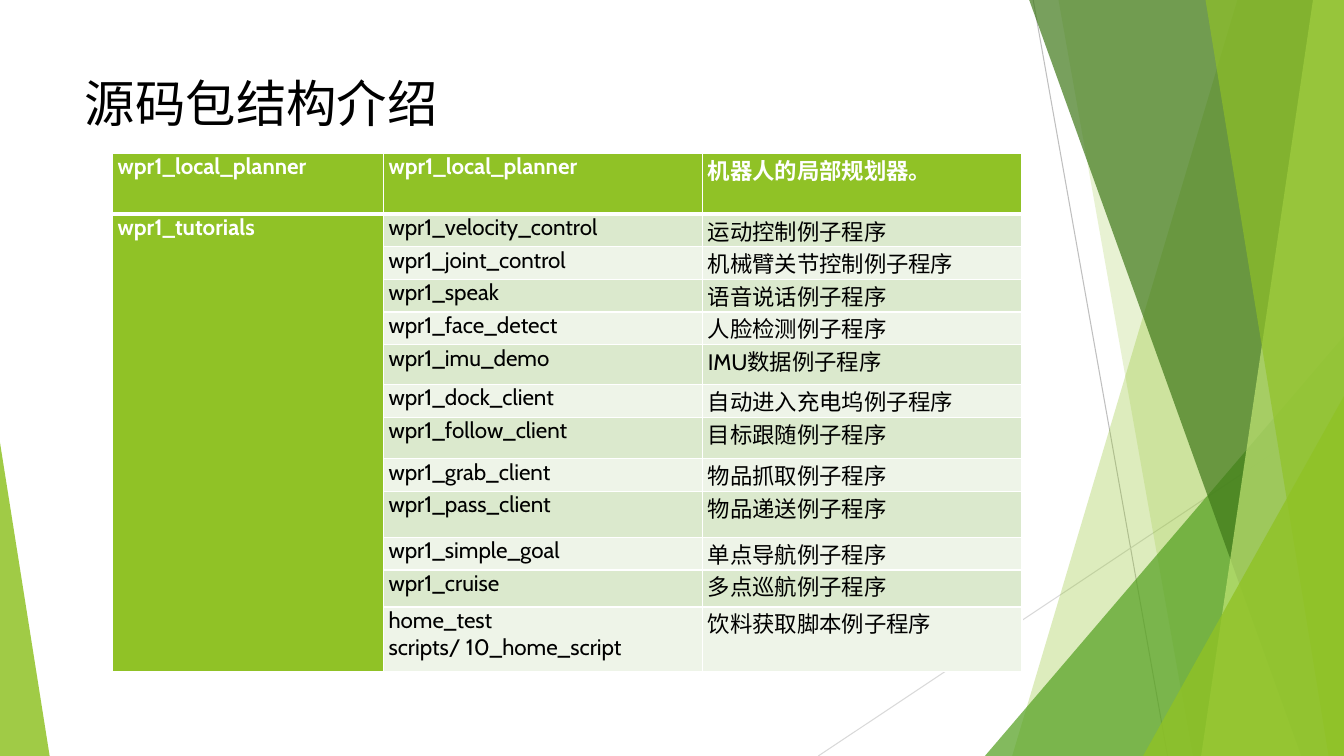
"""Build the slide that introduces the structure of the source packages."""
from lxml.etree import SubElement
from pptx import Presentation
from pptx.dml.color import RGBColor
from pptx.enum.shapes import MSO_CONNECTOR, MSO_SHAPE
from pptx.enum.text import MSO_ANCHOR
from pptx.oxml import parse_xml
from pptx.oxml.ns import nsdecls, qn
from pptx.util import Pt

THEME = {
    "font": "Cabin", "title": 36, "body": 16,
    "black": "000000", "white": "FFFFFF",
    "lime": "90C226", "green": "54A021", "dark": "3F7819", "pale": "C0E474",
    "bands": ("DBE9CD", "EEF4E8"), "rules": ("BFBFBF", "D9D9D9"),
}


def paint(shape, color, alpha):
    shape.shadow.inherit = False
    shape.line.fill.background()
    shape.fill.solid()
    shape.fill.fore_color.rgb = RGBColor.from_string(color)
    clr = shape.fill._xPr.find(qn("a:solidFill"))[0]
    SubElement(clr, qn("a:alpha")).set("val", str(alpha * 1000))


def write(tf, text, size, color, bold=False):
    tf.text = text
    tf.word_wrap = True
    fmt = {"name": THEME["font"], "size": Pt(size), "bold": bold}
    for p in tf.paragraphs:
        for r in p.runs:
            for key, value in fmt.items():
                setattr(r.font, key, value)
            r.font.color.rgb = RGBColor.from_string(color)


prs = Presentation()
prs.slide_width, prs.slide_height = Pt(960), Pt(540)
s = prs.slides.add_slide(prs.slide_layouts[6])

rules = [(738, 0, 834, 540), (960, 290, 584.5, 540)]
for ends, color in zip(rules, THEME["rules"]):
    line = s.shapes.add_connector(MSO_CONNECTOR.STRAIGHT, *map(Pt, ends))
    line.line.color.rgb = RGBColor.from_string(color)
    line.line.width = Pt(0.75)
    SubElement(line._element.spPr, qn("a:effectLst"))

facets = [
    ("band", (884, 723), "lime", 30),
    ("band", (756, 852), "lime", 20),
    ("triangle", (703.5, 240, 256.5, 300, 1), "green", 72),
    ("band", (735, 929.5), "dark", 70),
    ("band", (938, 858), "pale", 70),
    ("band", (861, 949), "lime", 65),
    ("triangle", (816.5, 283, 143.5, 257, 1), "lime", 80),
    ("triangle", (0, 316, 35.5, 224, 0), "lime", 85),
]
for kind, dims, color, alpha in facets:
    if kind == "band":
        top_x, bottom_x = dims
        fb = s.shapes.build_freeform(Pt(top_x), Pt(-0.5))
        corners = [(960, -0.5), (960, 540), (bottom_x, 540)]
        fb.add_line_segments([(Pt(x), Pt(y)) for x, y in corners], close=True)
        facet = fb.convert_to_shape()
    else:
        *box, apex = dims
        facet = s.shapes.add_shape(MSO_SHAPE.ISOSCELES_TRIANGLE, *map(Pt, box))
        facet.adjustments[0] = apex
    paint(facet, THEME[color], alpha)

title = s.shapes.add_textbox(Pt(53.5), Pt(48), Pt(677), Pt(104))
write(title.text_frame, "源码包结构介绍", THEME["title"], THEME["black"])

rows = [
    ("wpr1_local_planner", "wpr1_local_planner", "机器人的局部规划器。", 43.5),
    ("wpr1_tutorials", "wpr1_velocity_control", "运动控制例子程序", 23.3),
    ("", "wpr1_joint_control", "机械臂关节控制例子程序", 23.3),
    ("", "wpr1_speak", "语音说话例子程序", 23.3),
    ("", "wpr1_face_detect", "人脸检测例子程序", 23.3),
    ("", "wpr1_imu_demo", "IMU数据例子程序", 28.5),
    ("", "wpr1_dock_client", "自动进入充电坞例子程序", 23.5),
    ("", "wpr1_follow_client", "目标跟随例子程序", 29.5),
    ("", "wpr1_grab_client", "物品抓取例子程序", 23.3),
    ("", "wpr1_pass_client", "物品递送例子程序", 33),
    ("", "wpr1_simple_goal", "单点导航例子程序", 23.3),
    ("", "wpr1_cruise", "多点巡航例子程序", 26.5),
    ("", "home_test\nscripts/ 10_home_script", "饮料获取脚本例子程序", 46),
]
widths = (193.5, 228, 228)
table = s.shapes.add_table(len(rows), len(widths), Pt(80.5), Pt(109.5),
                           Pt(sum(widths)), Pt(sum(row[-1] for row in rows))).table
for col, width in zip(table.columns, widths):
    col.width = Pt(width)

layout = {"margin_left": Pt(3.6), "margin_right": Pt(3.6), "margin_top": 0,
          "margin_bottom": 0, "vertical_anchor": MSO_ANCHOR.TOP}
for i, (*texts, height) in enumerate(rows):
    table.rows[i].height = Pt(height)
    for j, text in enumerate(texts):
        cell = table.cell(i, j)
        strong = i == 0 or j == 0
        for key, value in layout.items():
            setattr(cell, key, value)
        write(cell.text_frame, text, THEME["body"],
              THEME["white" if strong else "black"], strong)
        cell.fill.solid()
        fill = THEME["lime"] if strong else THEME["bands"][(i - 1) % 2]
        cell.fill.fore_color.rgb = RGBColor.from_string(fill)
        tcPr = cell._tc.get_or_add_tcPr()
        for n, side in enumerate("LRTB"):
            thick = (i, side) in ((0, "B"), (1, "T"))
            tcPr.insert(n, parse_xml(
                f'<a:ln{side} {nsdecls("a")} w="{Pt(3 if thick else 1)}"><a:solidFill>'
                f'<a:srgbClr val="{THEME["white"]}"/></a:solidFill></a:ln{side}>'))
table.cell(1, 0).merge(table.cell(len(rows) - 1, 0))

prs.save("out.pptx")
